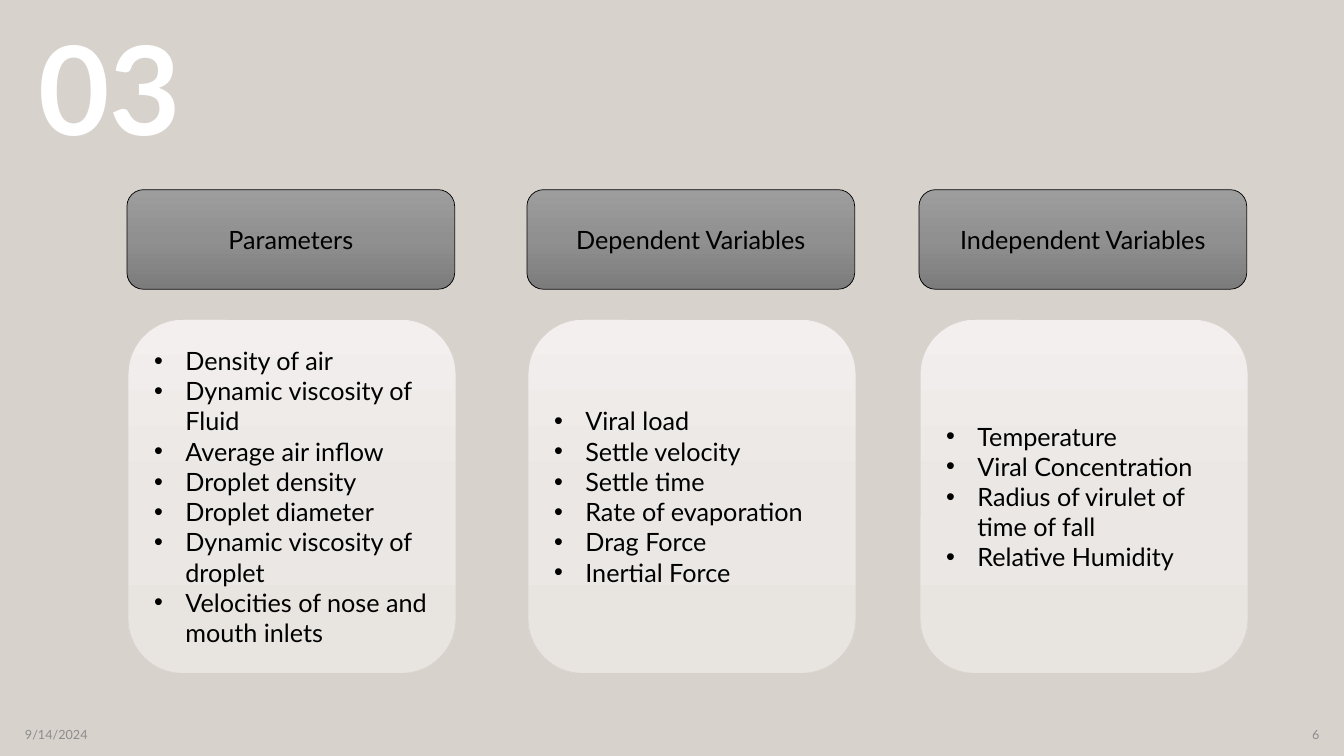
from copy import deepcopy

from lxml import etree
from pptx import Presentation
from pptx.dml.color import RGBColor
from pptx.enum.shapes import MSO_SHAPE
from pptx.enum.text import MSO_ANCHOR, PP_ALIGN
from pptx.oxml.ns import qn
from pptx.util import Cm, Pt

ROUNDED = MSO_SHAPE.ROUNDED_RECTANGLE
TOP, MIDDLE = MSO_ANCHOR.TOP, MSO_ANCHOR.MIDDLE
LEFT, CENTER, RIGHT = PP_ALIGN.LEFT, PP_ALIGN.CENTER, PP_ALIGN.RIGHT

BACKGROUND = RGBColor(0xD8, 0xD2, 0xCD)
WHITE = RGBColor(0xFF, 0xFF, 0xFF)
BLACK = RGBColor(0x00, 0x00, 0x00)
FOOTER_GRAY = RGBColor(0x8C, 0x8C, 0x8C)
HEADING_COLORS = [RGBColor(0x9D, 0x9D, 0x9D), RGBColor(0x90, 0x90, 0x90), RGBColor(0x7C, 0x7C, 0x7C)]
CARD_COLORS = [RGBColor(0xF2, 0xEF, 0xEE), RGBColor(0xEA, 0xE7, 0xE4), RGBColor(0xE8, 0xE4, 0xE0)]

INDENT = Cm(0.79)

COLUMNS = [
    (3.2, "Parameters", [
        "Density of air",
        "Dynamic viscosity of Fluid",
        "Average air inflow",
        "Droplet density",
        "Droplet diameter",
        "Dynamic viscosity of droplet",
        "Velocities of nose and mouth inlets",
    ]),
    (13.28, "Dependent Variables", [
        "Viral load",
        "Settle velocity",
        "Settle time",
        "Rate of evaporation",
        "Drag Force",
        "Inertial Force",
    ]),
    (23.16, "Independent Variables", [
        "Temperature",
        "Viral Concentration",
        "Radius of virulet of time of fall",
        "Relative Humidity",
    ]),
]


def write_lines(shape, lines, size, color, alignment, anchor=MIDDLE):
    """Fill the shape with one paragraph per line and return the paragraphs."""
    frame = shape.text_frame
    frame.word_wrap = True
    frame.vertical_anchor = anchor
    for index, line in enumerate(lines):
        paragraph = frame.add_paragraph() if index else frame.paragraphs[0]
        paragraph.alignment = alignment
        run = paragraph.add_run()
        run.text = line
        run.font.name = "Lato"
        run.font.size = Pt(size)
        run.font.color.rgb = color
    return frame.paragraphs


def add_gradient_box(left, top, height, colors, line_color):
    """Add a rounded box shaded from top to bottom in three colours."""
    box = slide.shapes.add_shape(ROUNDED, Cm(left), Cm(top), Cm(8.26), Cm(height))
    box.shadow.inherit = False
    box.line.color.rgb = line_color
    box.line.width = Pt(0.5)
    box.fill.gradient()
    box.fill.gradient_angle = 270
    stop_list = box._element.spPr.find(qn("a:gradFill")).find(qn("a:gsLst"))
    stop_list.insert(1, deepcopy(stop_list[0]))
    for stop, position, color in zip(box.fill.gradient_stops, (0, 0.5, 1), colors):
        stop.position = position
        stop.color.rgb = color
    return box


presentation = Presentation()
presentation.slide_width = Cm(33.87)
presentation.slide_height = Cm(19.05)
slide = presentation.slides.add_slide(presentation.slide_layouts[6])
slide.background.fill.solid()
slide.background.fill.fore_color.rgb = BACKGROUND

# Section number
number_box = slide.shapes.add_textbox(Cm(0.71), Cm(0.61), Cm(8.2), Cm(3.71))
number = write_lines(number_box, ["03"], 88, WHITE, LEFT, TOP)[0]
number.line_spacing = 0.9
number.runs[0].font.bold = True

# Footer
for left, text, alignment in [(0.38, "9/14/2024", LEFT), (25.88, "6", RIGHT)]:
    footer = slide.shapes.add_textbox(Cm(left), Cm(18.01), Cm(7.62), Cm(1.02))
    write_lines(footer, [text], 9, FOOTER_GRAY, alignment)

# Headings, each with its card of bullets
for left, title, items in COLUMNS:
    heading = add_gradient_box(left, 4.78, 2.51, HEADING_COLORS, BLACK)
    write_lines(heading, [title], 18, BLACK, CENTER)

    card = add_gradient_box(left + 0.03, 8.05, 8.92, CARD_COLORS, BACKGROUND)
    for paragraph in write_lines(card, items, 18, BLACK, LEFT):
        properties = paragraph._p.get_or_add_pPr()
        properties.set("marL", str(INDENT))
        properties.set("indent", str(-INDENT))
        etree.SubElement(properties, qn("a:buFont"), typeface="Arial")
        etree.SubElement(properties, qn("a:buChar"), char="•")

presentation.save("out.pptx")
